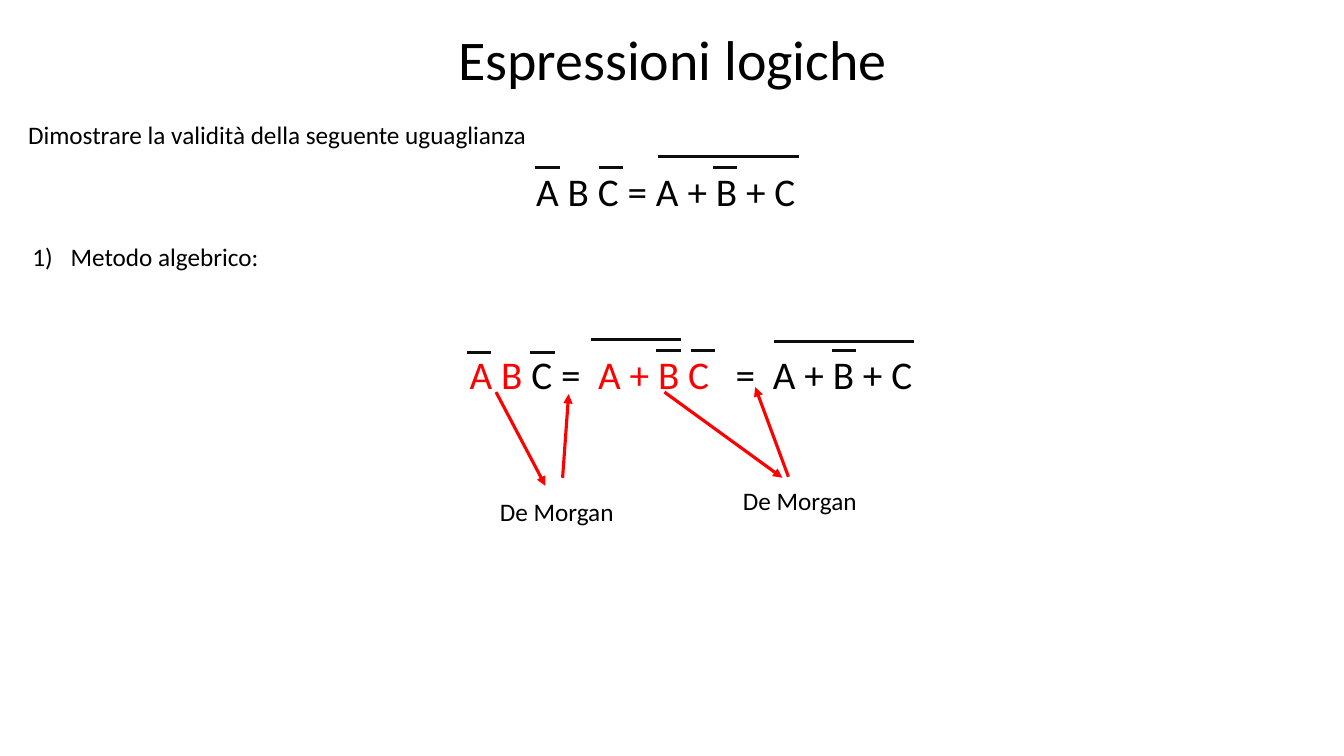
"""Build a slide that proves a logic identity with De Morgan's laws."""
from typing import NamedTuple

from lxml.etree import SubElement
from pptx import Presentation
from pptx.dml.color import RGBColor
from pptx.enum.shapes import MSO_CONNECTOR
from pptx.enum.text import MSO_ANCHOR, MSO_AUTO_SIZE, PP_ALIGN
from pptx.oxml.ns import qn
from pptx.util import Pt

PX = 9144
BLACK, INK, RED = "000000", "0D0D0D", "FF0000"


class Label(NamedTuple):
    box: tuple[int, int, int, int]
    size: int
    runs: list[tuple[str, str]]


class Line(NamedTuple):
    x1: int
    y1: int
    x2: int
    y2: int


TITLE = Label((437, 27, 460, 69), 40, [("Espressioni logiche", BLACK)])
METHOD = Label((22, 234, 1291, 40), 18, [("Metodo algebrico:", BLACK)])
LABELS = [
    Label((18, 113, 1298, 40), 18,
          [("Dimostrare la validità della seguente uguaglianza", BLACK)]),
    Label((522, 161, 286, 57), 28, [("A B C = A + B + C", BLACK)]),
    Label((456, 343, 490, 57), 28,
          [("A B", RED), (" C =  ", BLACK), ("A + B C", RED),
           ("   =  A + B + C", BLACK)]),
    Label((486, 487, 138, 40), 18, [("De Morgan", BLACK)]),
    Label((727, 477, 138, 40), 18, [("De Morgan", BLACK)]),
]
SHORT, WIDE = 24, 139
BARS = [
    (531, 166, SHORT), (594, 166, SHORT), (707, 166, SHORT), (653, 155, WIDE),
    (463, 350, SHORT), (526, 350, SHORT), (825, 348, SHORT), (768, 339, WIDE),
    (651, 348, SHORT), (685, 348, SHORT), (586, 337, 89),
]
ARROWS = [
    Line(492, 389, 541, 482), Line(659, 389, 776, 474),
    Line(558, 474, 564, 391), Line(782, 473, 749, 384),
]


def paint(code: str) -> RGBColor:
    """Turn a hex string into a colour."""
    return RGBColor.from_string(code)


def place(shape, box: tuple[int, int, int, int]) -> None:
    """Set the position and size of a shape."""
    for name, value in zip(("left", "top", "width", "height"), box):
        setattr(shape, name, value * PX)


def write(shape, label: Label, **style) -> None:
    """Place a shape and fill its first paragraph with coloured runs."""
    place(shape, label.box)
    frame = shape.text_frame
    for name, value in {"word_wrap": True, **style}.items():
        setattr(frame, name, value)
    para = frame.paragraphs[0]
    for text, code in label.runs:
        run = para.add_run()
        run.text = text
        run.font.color.rgb = paint(code)
        for name, value in {"name": "Calibri", "size": Pt(label.size)}.items():
            setattr(run.font, name, value)


def number(shape) -> None:
    """Number the first paragraph of a list with a hanging indent."""
    para = shape.text_frame.paragraphs[0]
    props = para._p.get_or_add_pPr()
    for name, value in {"marL": 38 * PX, "indent": -38 * PX}.items():
        props.set(name, str(value))
    SubElement(props, qn("a:buFont"), typeface="+mj-lt")
    SubElement(props, qn("a:buAutoNum"), type="arabicParenR")
    para.space_before = Pt(0)


def draw(slide, line: Line, code: str, arrow: bool = False) -> None:
    """Draw a straight line, with an arrowhead at its end if asked."""
    link = slide.shapes.add_connector(
        MSO_CONNECTOR.STRAIGHT, *(value * PX for value in line))
    link.line.color.rgb = paint(code)
    link.line.width = Pt(2.25)
    if arrow:
        SubElement(link.line._get_or_add_ln(), qn("a:tailEnd"), type="triangle")
    SubElement(link._element.spPr, qn("a:effectLst"))


def main() -> None:
    """Build and save the slide."""
    deck = Presentation()
    deck.slide_width, deck.slide_height = 1333 * PX, 750 * PX
    slide = deck.slides.add_slide(deck.slide_layouts[1])
    title, body = slide.placeholders
    write(title, TITLE, auto_size=MSO_AUTO_SIZE.NONE,
          vertical_anchor=MSO_ANCHOR.MIDDLE)
    head = title.text_frame.paragraphs[0]
    for name, value in {"alignment": PP_ALIGN.CENTER, "line_spacing": 0.9}.items():
        setattr(head, name, value)
    number(body)
    write(body, METHOD, auto_size=MSO_AUTO_SIZE.SHAPE_TO_FIT_TEXT)
    for label in LABELS:
        write(slide.shapes.add_textbox(0, 0, 0, 0), label,
              auto_size=MSO_AUTO_SIZE.SHAPE_TO_FIT_TEXT)
    for left, top, width in BARS:
        draw(slide, Line(left, top, left + width, top), INK)
    for arrow in ARROWS:
        draw(slide, arrow, RED, arrow=True)
    deck.save("out.pptx")


if __name__ == "__main__":
    main()
